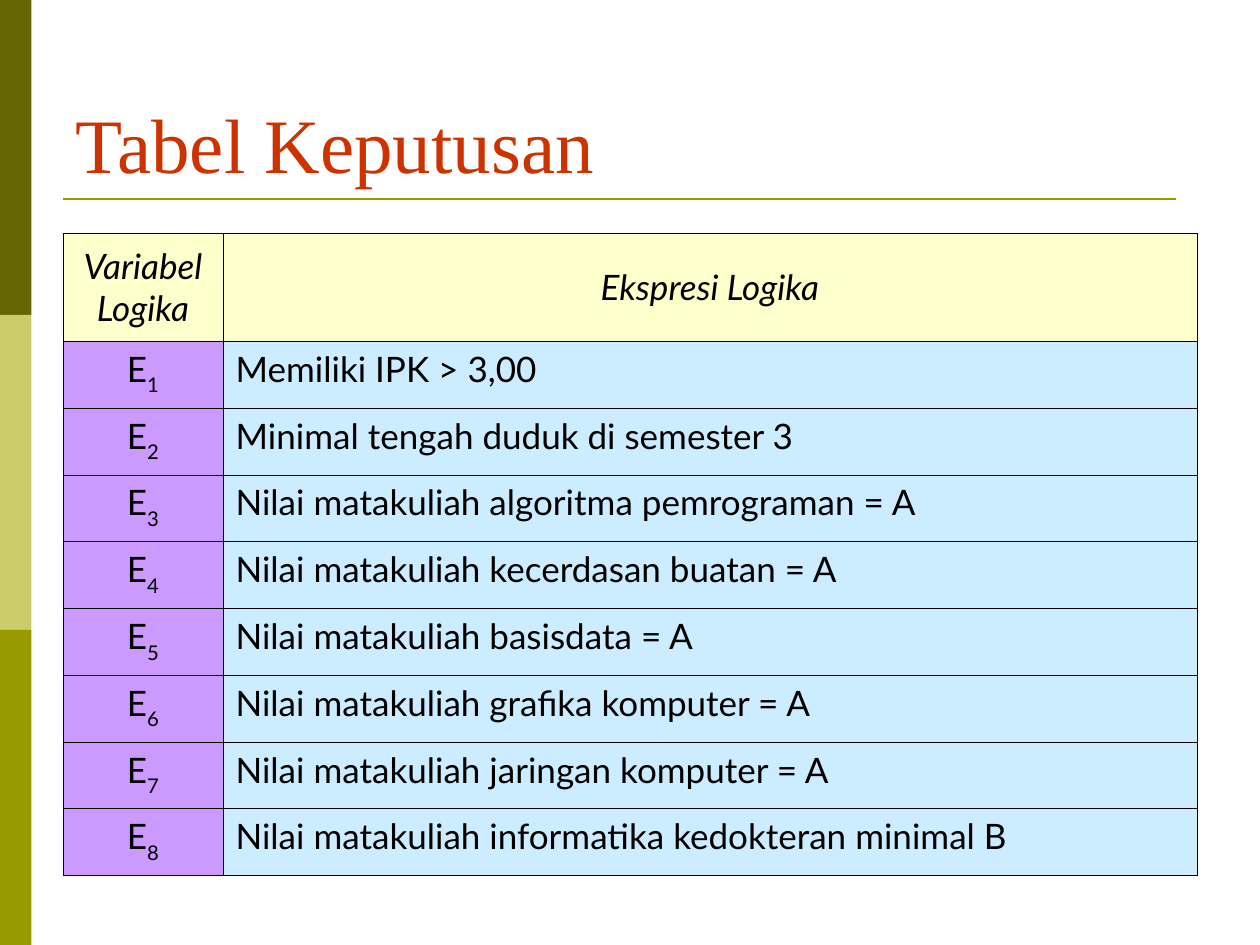
from dataclasses import dataclass

from lxml import etree
from pptx import Presentation
from pptx.dml.color import RGBColor
from pptx.enum.shapes import MSO_CONNECTOR, MSO_SHAPE
from pptx.enum.text import MSO_ANCHOR, MSO_AUTO_SIZE, PP_ALIGN
from pptx.oxml.ns import qn
from pptx.util import Inches, Pt

RECT, STRAIGHT = MSO_SHAPE.RECTANGLE, MSO_CONNECTOR.STRAIGHT
LEFT, CENTER = PP_ALIGN.LEFT, PP_ALIGN.CENTER
TOP, MIDDLE, BOTTOM = MSO_ANCHOR.TOP, MSO_ANCHOR.MIDDLE, MSO_ANCHOR.BOTTOM


@dataclass(frozen=True)
class Theme:
    title_font: str = "Times New Roman"
    body_font: str = "Lato"
    title_size: float = 44
    body_size: float = 20
    rule_width: float = 1.5
    border_width: float = 0.45
    title: str = "CC3300"
    text: str = "000000"
    rule: str = "999900"
    bands: tuple = ("666600", "CCCC66", "999900")
    header: str = "FFFFCC"
    variable: str = "CC99FF"
    expression: str = "CCECFF"


EXPRESSIONS = [
    "Memiliki IPK > 3,00",
    "Minimal tengah duduk di semester 3",
    "Nilai matakuliah algoritma pemrograman = A",
    "Nilai matakuliah kecerdasan buatan = A",
    "Nilai matakuliah basisdata = A",
    "Nilai matakuliah grafika komputer = A",
    "Nilai matakuliah jaringan komputer = A",
    "Nilai matakuliah informatika kedokteran minimal B",
]


def rgb(color):
    return RGBColor.from_string(color)


def add_text(p, text, *, font, size, color, italic=False, baseline=0):
    r = p.add_run()
    r.text = text
    r.font.name = font
    r.font.size = Pt(size)
    r.font.bold = False
    r.font.italic = italic
    r.font.color.rgb = rgb(color)
    if baseline:
        r.font._element.set("baseline", str(baseline * 1000))


class SlideBuilder:
    """Draws themed elements on the current slide."""

    def __init__(self, slide, theme):
        self.s = slide
        self.theme = theme

    def band(self, x, y, w, h, color):
        sp = self.s.shapes.add_shape(RECT, Inches(x), Inches(y), Inches(w), Inches(h))
        sp.shadow.inherit = False
        sp.fill.solid()
        sp.fill.fore_color.rgb = rgb(color)
        sp.line.fill.background()

    def rule(self, x1, x2, y):
        line = self.s.shapes.add_connector(
            STRAIGHT, Inches(x1), Inches(y), Inches(x2), Inches(y))
        line.line.color.rgb = rgb(self.theme.rule)
        line.line.width = Pt(self.theme.rule_width)
        etree.SubElement(line._element.spPr, qn("a:effectLst"))

    def title(self, text, x, y, w, h):
        t = self.theme
        sp = self.s.shapes.title
        sp.left, sp.top, sp.width, sp.height = map(Inches, (x, y, w, h))
        tf = sp.text_frame
        tf.auto_size = MSO_AUTO_SIZE.NONE
        tf.vertical_anchor = BOTTOM
        p = tf.paragraphs[0]
        p.alignment = LEFT
        add_text(p, text, font=t.title_font, size=t.title_size, color=t.title)

    def table(self, x, y, widths, heights):
        table = self.s.shapes.add_table(
            len(heights), len(widths), Inches(x), Inches(y),
            Inches(sum(widths)), Inches(sum(heights))).table
        table.first_row = table.horz_banding = False
        for column, width in zip(table.columns, widths):
            column.width = Inches(width)
        for row, height in zip(table.rows, heights):
            row.height = Inches(height)
        return table

    def cell(self, cell, text, fill, *, subscript="", align=LEFT, anchor=TOP, italic=False):
        t = self.theme
        self.borders(cell)
        cell.fill.solid()
        cell.fill.fore_color.rgb = rgb(fill)
        cell.vertical_anchor = anchor
        p = cell.text_frame.paragraphs[0]
        p.alignment = align
        style = dict(font=t.body_font, size=t.body_size, color=t.text, italic=italic)
        add_text(p, text, **style)
        if subscript:
            add_text(p, subscript, baseline=-30, **style)

    def borders(self, cell):
        tc_pr = cell._tc.get_or_add_tcPr()
        for side in ("a:lnL", "a:lnR", "a:lnT", "a:lnB"):
            ln = etree.SubElement(tc_pr, qn(side), w=str(Pt(self.theme.border_width)))
            fill = etree.SubElement(ln, qn("a:solidFill"))
            etree.SubElement(fill, qn("a:srgbClr"), val=self.theme.text)


def main():
    prs = Presentation()
    prs.slide_width, prs.slide_height = Inches(10), Inches(7.5)
    theme = Theme()
    b = SlideBuilder(prs.slides.add_slide(prs.slide_layouts[5]), theme)

    for i, color in enumerate(theme.bands):
        b.band(0, 2.5 * i, 0.25, 2.5, color)
    b.rule(0.5, 9.33, 1.58)
    b.title("Tabel Keputusan", 0.5, 0.3, 9, 1.25)

    table = b.table(0.5, 1.85, [1.27, 7.73], [0.86] + [0.53] * len(EXPRESSIONS))
    for col, heading in enumerate(("Variabel Logika", "Ekspresi Logika")):
        b.cell(table.cell(0, col), heading, theme.header,
               align=CENTER, anchor=MIDDLE, italic=True)
    for row, expression in enumerate(EXPRESSIONS, 1):
        b.cell(table.cell(row, 0), "E", theme.variable, subscript=str(row), align=CENTER)
        b.cell(table.cell(row, 1), expression, theme.expression)

    prs.save("out.pptx")


if __name__ == "__main__":
    main()
